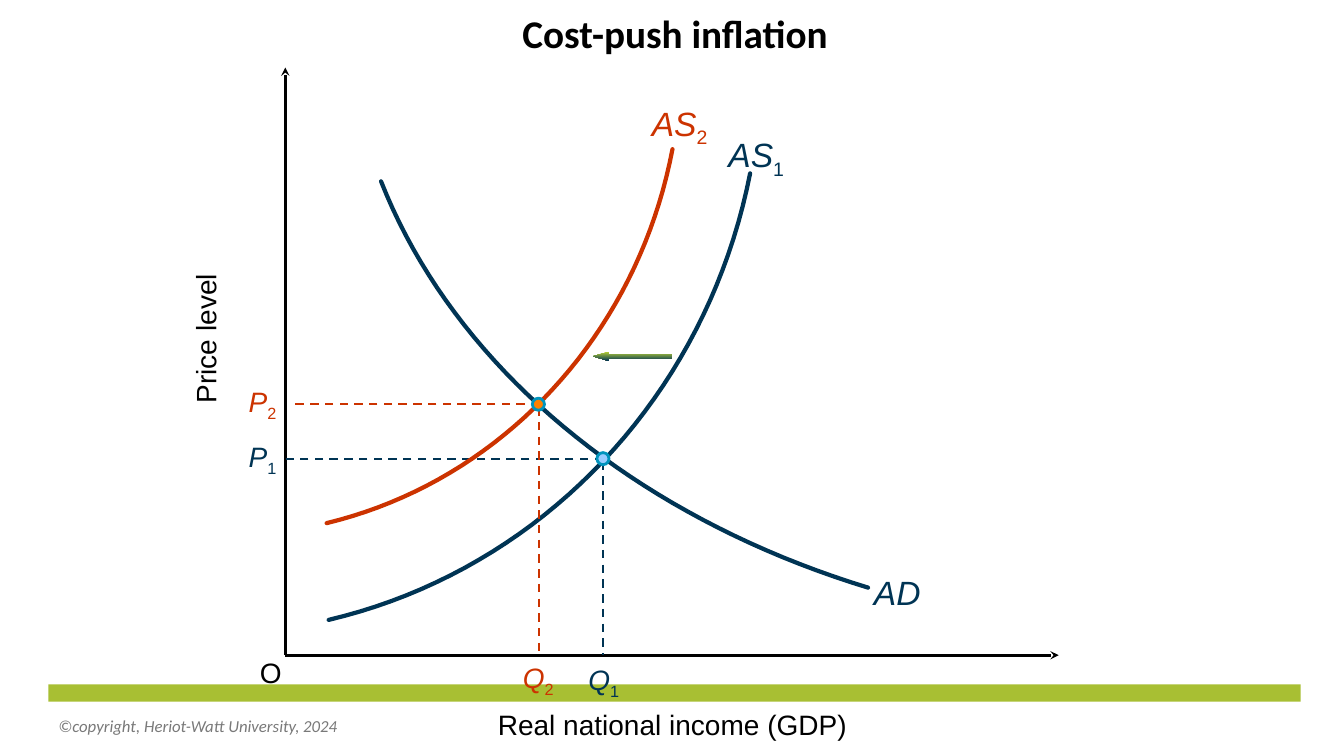
import pptx
import pptx.util
import pptx.dml.color
import pptx.enum.dml
import pptx.enum.shapes
import pptx.enum.text
import pptx.oxml
import pptx.oxml.ns

Inches = pptx.util.Inches
Pt = pptx.util.Pt
RGBColor = pptx.dml.color.RGBColor
Align = pptx.enum.text.PP_ALIGN
Shape = pptx.enum.shapes.MSO_SHAPE
qn = pptx.oxml.ns.qn

BLACK = RGBColor(0x00, 0x00, 0x00)
GREY = RGBColor(0x79, 0x79, 0x79)
NAVY = RGBColor(0x00, 0x34, 0x54)
RED = RGBColor(0xCC, 0x33, 0x00)
LIME = RGBColor(0xA8, 0xBF, 0x33)
ARROW_GREEN = RGBColor(0xB8, 0xD1, 0x37)
TEAL = RGBColor(0x00, 0x94, 0xBD)
SKY = RGBColor(0x99, 0xCC, 0xFF)
ORANGE = RGBColor(0xFF, 0x80, 0x00)


class Diagram:
    """Draws the elements of an economics diagram in one style on a slide."""

    def __init__(self, slide):
        self.shapes = slide.shapes
        self.font = "Arial"
        self.curve_steps = 40

    def text(self, place, words, size=20, color=BLACK, subscript="", align=Align.LEFT,
             font=None, bold=False, italic=False, fixed=False, top_inset=0.05, turn=0):
        box = self.shapes.add_textbox(*map(Inches, place))
        box.rotation = turn
        frame = box.text_frame
        frame.word_wrap = fixed
        frame.margin_top = Inches(top_inset)
        if fixed:
            frame.auto_size = pptx.enum.text.MSO_AUTO_SIZE.NONE
            frame.vertical_anchor = pptx.enum.text.MSO_ANCHOR.MIDDLE
        else:
            frame.auto_size = pptx.enum.text.MSO_AUTO_SIZE.SHAPE_TO_FIT_TEXT
        para = frame.paragraphs[0]
        para.alignment = align
        for part, slanted in ((words, italic), (subscript, False)):
            if part:
                span = para.add_run()
                span.text = part
                span.font.name = font or self.font
                span.font.size = Pt(size)
                span.font.bold = bold
                span.font.italic = slanted
                span.font.color.rgb = color
                if part == subscript:
                    span.font._element.set("baseline", "-25000")

    def line(self, start, end, color, width, dashed=False, arrow=None):
        line = self.shapes.add_connector(
            pptx.enum.shapes.MSO_CONNECTOR.STRAIGHT, *map(Inches, start + end))
        line.line.color.rgb = color
        line.line.width = Pt(width)
        if dashed:
            line.line.dash_style = pptx.enum.dml.MSO_LINE.DASH
        properties = line._element.spPr
        if arrow:
            tip = pptx.oxml.ns.nsdecls("a")
            properties.find(qn("a:ln")).append(
                pptx.oxml.parse_xml(f'<a:{arrow} {tip} type="stealth"/>'))
        properties.append(properties.makeelement(qn("a:effectLst"), {}))

    def curve(self, controls, color):
        points = []
        for step in range(self.curve_steps + 1):
            t = step / self.curve_steps
            weights = ((1 - t) ** 3, 3 * t * (1 - t) ** 2, 3 * t ** 2 * (1 - t), t ** 3)
            points.append(tuple(
                Inches(sum(w * c for w, c in zip(weights, axis))) for axis in zip(*controls)))
        builder = self.shapes.build_freeform(*points[0])
        builder.add_line_segments(points[1:], close=False)
        curve = builder.convert_to_shape()
        curve.shadow.inherit = False
        curve.fill.background()
        curve.line.color.rgb = color
        curve.line.width = Pt(3)
        curve._element.spPr.find(qn("a:ln")).set("cap", "rnd")

    def preset(self, kind, place, fill=None, outline=None):
        shape = self.shapes.add_shape(kind, *map(Inches, place))
        shape.shadow.inherit = False
        if fill is not None:
            shape.fill.solid()
            shape.fill.fore_color.rgb = fill
        if outline is None:
            shape.line.fill.background()
        else:
            shape.line.color.rgb = outline
            shape.line.width = Pt(2)
        return shape

    def dot(self, x, y, fill):
        self.preset(Shape.OVAL, (x - 0.06, y - 0.06, 0.12, 0.12), fill, TEAL)

    def shift_arrow(self, place):
        arrow = self.preset(Shape.UP_ARROW, place)
        arrow.rotation = 270
        arrow.adjustments[0] = 0.5
        arrow.adjustments[1] = 1.734
        arrow.fill.gradient()
        arrow.fill.gradient_angle = 270
        for stop, color, position in zip(arrow.fill.gradient_stops, (ARROW_GREEN, NAVY), (0, 1)):
            stop.color.rgb = color
            stop.position = position
        arrow._element.spPr.find(qn("a:gradFill")).set("rotWithShape", "0")


def main():
    deck = pptx.Presentation()
    deck.slide_width = Inches(13.33)
    deck.slide_height = Inches(7.5)
    diagram = Diagram(deck.slides.add_slide(deck.slide_layouts[6]))

    diagram.preset(Shape.RECTANGLE, (0.48, 6.79, 12.42, 0.17), LIME)
    diagram.text((0.48, 7, 4.5, 0.4), "©copyright, Heriot-Watt University, 2024", 12, GREY,
                 font="Calibri", italic=True, fixed=True)

    diagram.line((2.83, 0.67), (2.83, 6.5), BLACK, 2, arrow="headEnd")
    diagram.line((2.83, 6.5), (10.5, 6.5), BLACK, 2, arrow="tailEnd")
    diagram.text((2.48, 6.45, 0.42, 0.44), "O")
    diagram.text((1.29, 3.13, 1.5, 0.44), "Price level", turn=270)

    diagram.curve(((8.61, 5.83), (6.28, 5.12), (4.5, 3.63), (3.78, 1.8)), NAVY)
    diagram.text((8.57, 5.62, 0.67, 0.51), "AD", 24, NAVY, italic=True)

    supplies = (
        ("1", NAVY, ((7.44, 1.72), (7.01, 3.92), (5.38, 5.65), (3.26, 6.15)),
         (7.11, 1.28), (5.98, 4.55), 2.84, (5.72, 6.52)),
        ("2", RED, ((6.67, 1.48), (6.32, 3.32), (4.98, 4.77), (3.24, 5.19)),
         (6.35, 0.97), (5.35, 4.01), 2.89, (5.07, 6.5)),
    )
    for number, color, controls, name_at, (x, y), axis_x, quantity_at in supplies:
        diagram.curve(controls, color)
        diagram.text(name_at + (0.78, 0.51), "AS", 24, color, number, Align.CENTER, italic=True)
        diagram.line((x, y), (axis_x, y), color, 1.5, dashed=True)
        diagram.line((x, y + 0.03), (x, 6.5), color, 1.5, dashed=True)
        for letter, place in (("P", (2.35, y - 0.24, 0.49, 0.44)),
                              ("Q", quantity_at + (0.52, 0.44))):
            diagram.text(place, letter, 20, color, number, Align.RIGHT, italic=True)

    diagram.dot(5.98, 4.55, SKY)
    diagram.dot(5.34, 4.01, ORANGE)
    diagram.shift_arrow((6.23, 3.14, 0.09, 0.79))
    diagram.text((0, 0, 13.39, 0.61), "Cost-push inflation", 28, align=Align.CENTER,
                 font="Calibri", bold=True, fixed=True, top_inset=0.1)
    diagram.text((4.82, 6.97, 3.7, 0.44), "Real national income (GDP)", align=Align.CENTER)
    deck.save("out.pptx")


if __name__ == "__main__":
    main()
